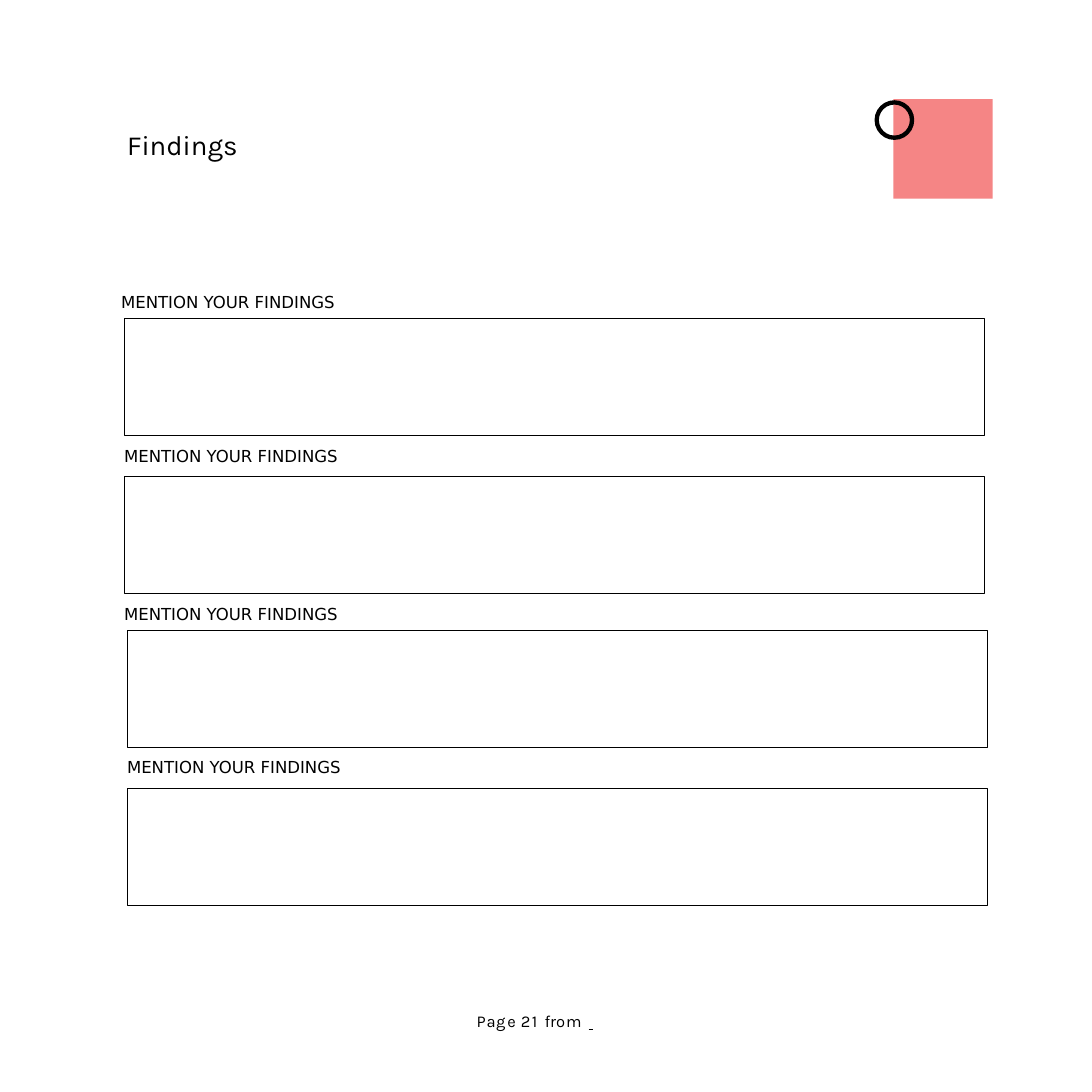
from dataclasses import dataclass

from lxml import etree
from pptx import Presentation
from pptx import util as u
from pptx.dml.color import RGBColor
from pptx.enum import shapes, text
from pptx.oxml import ns

TITLE = "Findings"
LABELS = ["MENTION YOUR FINDINGS"] * 4
FOOTER = [("P", 70), ("a", 20), ("g", 140), ("e ", 40), ("21 ", 120),
          ("fr", -10), ("o", 70), ("m ", 110), (" \t", 0)]

GRID = 11
TITLE_AT = (1.28, 1.28, 3.93, 0.35)
FOOTER_AT = (4.8, 10.19, 1.41, 0.2)
FOOTER_TAB = 1.35
LABEL_START, LABEL_SIZE = (1.22, 2.93), (2.29, 0.22)
BOX_START, BOX_SIZE = (1.25, 3.21), (8.67, 1.18)
PAIR_STEP = (0.03, 3.14)
LABEL_STEP, BOX_STEP = (0.03, 1.55), (0, 1.59)
RING_AT, RING_THICKNESS = (8.81, 1.01, 0.4, 0.4), 0.11
BANNER = [(9.03, 1.6), (9.01, 1.58), (9.01, 1.23), (9.9, 1.21),
          (9.92, 1.23), (9.92, 1.57), (9.9, 1.6)]


@dataclass(frozen=True)
class Theme:
    ink: RGBColor = RGBColor(0, 0, 0)
    accent: RGBColor = RGBColor(0xF5, 0x85, 0x85)
    heading_font: str = "Karla"
    label_font: str = "DejaVu Sans"
    rule_font: str = "Times New Roman"
    title_size: int = 20
    body_size: int = 12
    footer_leading: float = 14.1
    outline: float = 0.75


theme = Theme()
presentation = Presentation()
presentation.slide_width = presentation.slide_height = u.Inches(11)
cell = presentation.slide_width / GRID
slide = presentation.slides.add_slide(presentation.slide_layouts[5])


def place(*lengths):
    return [round(length * cell) for length in lengths]


def step(start, within, index):
    pair, second = divmod(index, 2)
    return [s + pair * p + second * w for s, p, w in zip(start, PAIR_STEP, within)]


def prepare(shape, font, size, top_inset=0.01):
    frame = shape.text_frame
    frame.margin_left = frame.margin_right = frame.margin_bottom = 0
    frame.margin_top = place(top_inset)[0]
    frame.word_wrap = True
    frame.auto_size = text.MSO_AUTO_SIZE.NONE
    frame.vertical_anchor = text.MSO_ANCHOR.TOP
    paragraph = frame.paragraphs[0]
    paragraph.alignment = text.PP_ALIGN.LEFT
    paragraph.font.name = font
    paragraph.font.size = u.Pt(size)
    paragraph.font.color.rgb = theme.ink
    return paragraph


def paint(shape, color):
    shape.shadow.inherit = False
    shape.fill.solid()
    shape.fill.fore_color.rgb = color
    shape.line.fill.background()


def add_title():
    title = slide.shapes.title
    title.left, title.top, title.width, title.height = place(*TITLE_AT)
    prepare(title, theme.heading_font, theme.title_size).add_run().text = TITLE


def add_emblem():
    builder = slide.shapes.build_freeform(*BANNER[0], scale=cell)
    builder.add_line_segments(BANNER[1:], close=True)
    paint(builder.convert_to_shape(), theme.accent)
    ring = slide.shapes.add_shape(shapes.MSO_SHAPE.DONUT, *place(*RING_AT))
    ring.adjustments[0] = RING_THICKNESS
    paint(ring, theme.ink)


def add_finding(index, wording):
    label = slide.shapes.add_textbox(*place(*step(LABEL_START, LABEL_STEP, index), *LABEL_SIZE))
    prepare(label, theme.label_font, theme.body_size).add_run().text = wording
    box = slide.shapes.add_shape(
        shapes.MSO_SHAPE.RECTANGLE, *place(*step(BOX_START, BOX_STEP, index), *BOX_SIZE))
    box.shadow.inherit = False
    box.fill.background()
    box.line.color.rgb = theme.ink
    box.line.width = u.Pt(theme.outline)


def add_footer():
    footer = slide.shapes.add_textbox(*place(*FOOTER_AT))
    properties = footer.text_frame.paragraphs[0]._p.get_or_add_pPr()
    tabs = etree.SubElement(properties, ns.qn("a:tabLst"))
    etree.SubElement(tabs, ns.qn("a:tab"), pos=str(place(FOOTER_TAB)[0]), algn="l")
    paragraph = prepare(footer, theme.heading_font, theme.body_size, 0)
    paragraph.line_spacing = u.Pt(theme.footer_leading)
    for wording, spacing in FOOTER:
        run = paragraph.add_run()
        run.text = wording
        run._r.get_or_add_rPr().set("spc", str(spacing))
    run.font.name = theme.rule_font
    run.font.underline = True


add_title()
add_emblem()
for index, wording in enumerate(LABELS):
    add_finding(index, wording)
add_footer()
presentation.save("out.pptx")
